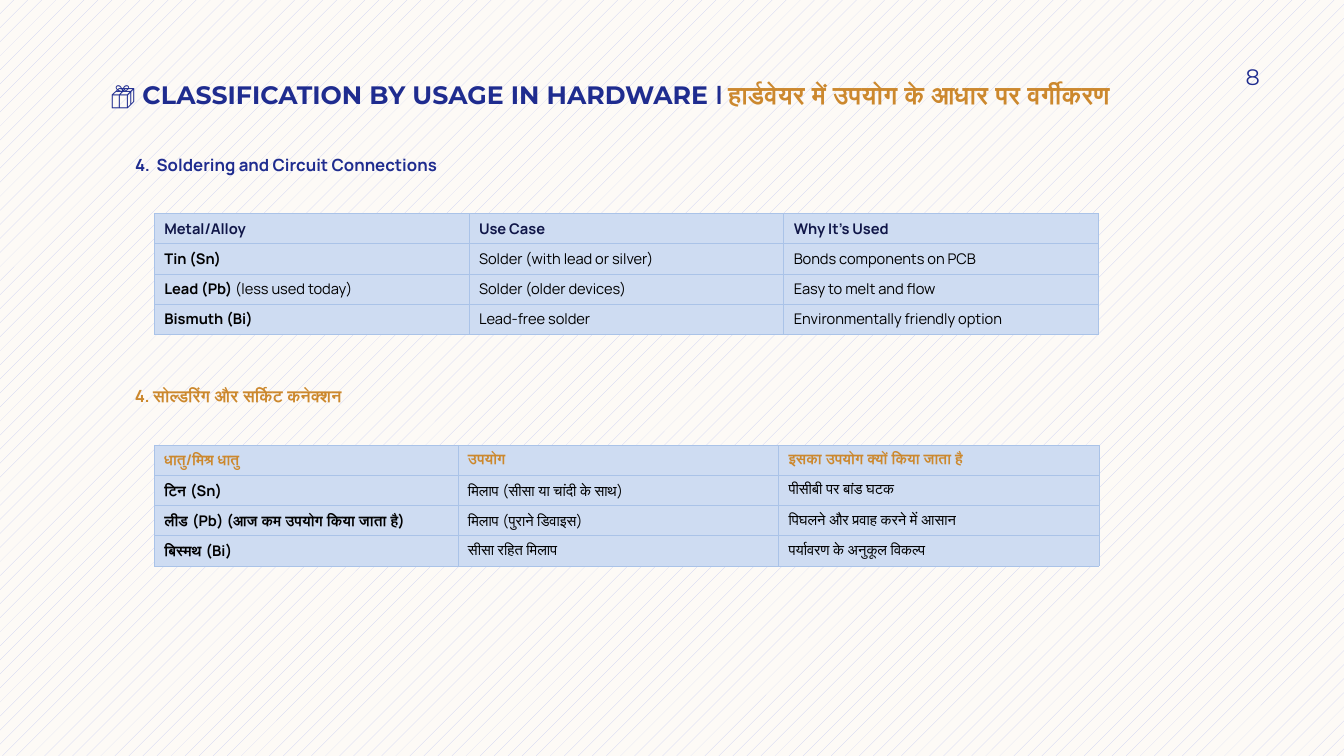
"""Build the slide on metals used in soldering, in English and Hindi."""
import pptx
import pptx.dml.color
import pptx.enum.dml
import pptx.enum.text
import pptx.oxml
import pptx.oxml.ns
import pptx.util

Cm, Pt = pptx.util.Cm, pptx.util.Pt
ANCHOR, ALIGN = pptx.enum.text.MSO_ANCHOR, pptx.enum.text.PP_ALIGN

HUES = {"blue": "1F2C8F", "gold": "CC882D", "navy": "101648", "ink": "000000",
        "cell": "CEDCF2", "edge": "AAC3E8", "paper": "FDFAF6", "dots": "C8CDF3"}

TITLE = [("📦 CLASSIFICATION BY USAGE IN HARDWARE ", "Montserrat", "blue"),
         ("| ", "Manrope", "blue"),
         ("हार्डवेयर में उपयोग के आधार पर वर्गीकरण", "Manrope", "gold")]
PAGE = "8"

PARTS = [
    {"head": "4.  Soldering and Circuit Connections", "hue": "blue", "top": 3.89,
     "label": "navy", "cols": [7.93, 7.93, 7.93],
     "rows": [
         ["Metal/Alloy", "Use Case", "Why It’s Used"],
         ["Tin (Sn)", "Solder (with lead or silver)", "Bonds components on PCB"],
         [("Lead (Pb)", " (less used today)"), "Solder (older devices)",
          "Easy to melt and flow"],
         ["Bismuth (Bi)", "Lead-free solder", "Environmentally friendly option"]]},
    {"head": "4. सोल्डरिंग और सर्किट कनेक्शन", "hue": "gold", "top": 9.73,
     "label": "gold", "cols": [7.65, 8.08, 8.08],
     "rows": [
         ["धातु/मिश्र धातु", "उपयोग", "इसका उपयोग क्यों किया जाता है"],
         ["टिन (Sn)", "मिलाप (सीसा या चांदी के साथ)", "पीसीबी पर बांड घटक"],
         ["लीड (Pb) (आज कम उपयोग किया जाता है)", "मिलाप (पुराने डिवाइस)",
          "पिघलने और प्रवाह करने में आसान"],
         ["बिस्मथ (Bi)", "सीसा रहित मिलाप", "पर्यावरण के अनुकूल विकल्प"]]},
]
TABLE_LEFT, ROW_TALL, HEAD_STEP = 3.89, 0.76, 5.84


def tint(name):
    return pptx.dml.color.RGBColor.from_string(HUES[name])


def style(run, size, hue, bold=False, face="Manrope"):
    run.font.size, run.font.name, run.font.bold = Pt(size), face, bold
    run.font.color.rgb = tint(hue)


def place(shape, left, top, width, height, anchor, pad=0):
    shape.left, shape.top, shape.width, shape.height = map(Cm, (left, top, width, height))
    frame = shape.text_frame
    frame.word_wrap = True
    frame.auto_size = pptx.enum.text.MSO_AUTO_SIZE.NONE
    frame.vertical_anchor = anchor
    frame.margin_top = frame.margin_bottom = Cm(pad)
    return frame.paragraphs[0]


def edge(cell):
    props = cell._tc.get_or_add_tcPr()
    for spot, side in enumerate("LRTB"):
        props.insert(spot, pptx.oxml.parse_xml(
            f'<a:ln{side} {pptx.oxml.ns.nsdecls("a")} w="{Pt(0.5)}"><a:solidFill>'
            f'<a:srgbClr val="{HUES["edge"]}"/></a:solidFill></a:ln{side}>'))


def add_head(shape, part, top):
    para = place(shape, 3.15, top, 22.12, 0.79, ANCHOR.TOP)
    para.text = part["head"]
    para.space_before, para.line_spacing = Pt(10), 1.0
    props = para._p.get_or_add_pPr()
    props.set("marL", "0")
    props.set("indent", "0")
    props.append(pptx.oxml.parse_xml(f'<a:buNone {pptx.oxml.ns.nsdecls("a")}/>'))
    style(para.runs[0], 12, part["hue"], True)


def add_grid(slide, part):
    rows, cols = part["rows"], part["cols"]
    grid = slide.shapes.add_table(
        len(rows), len(cols), Cm(TABLE_LEFT), Cm(part["top"] + 1.49),
        Cm(sum(cols)), Cm(ROW_TALL * len(rows))).table
    for col, width in zip(grid.columns, cols):
        col.width = Cm(width)
    for r, row in enumerate(rows):
        grid.rows[r].height = Cm(ROW_TALL)
        for c, text in enumerate(row):
            cell = grid.cell(r, c)
            cell.vertical_anchor = ANCHOR.MIDDLE
            cell.fill.solid()
            cell.fill.fore_color.rgb = tint("cell")
            edge(cell)
            para = cell.text_frame.paragraphs[0]
            for n, piece in enumerate([text] if isinstance(text, str) else text):
                run = para.add_run()
                run.text = piece
                style(run, 10.5, "ink" if r else part["label"],
                      r == 0 or (c == 0 and n == 0))


def main():
    deck = pptx.Presentation()
    deck.slide_width, deck.slide_height = Cm(33.87), Cm(19.05)
    slide = deck.slides.add_slide(deck.slide_layouts[1])
    fill = slide.background.fill
    fill.patterned()
    fill.pattern = pptx.enum.dml.MSO_PATTERN.PERCENT_5
    fill.fore_color.rgb, fill.back_color.rgb = tint("dots"), tint("paper")

    para = place(slide.shapes.title, 2.54, 0, 28.75, 2.77, ANCHOR.BOTTOM)
    para.alignment = ALIGN.LEFT
    for text, face, hue in TITLE:
        run = para.add_run()
        run.text = text
        style(run, 18, hue, True, face)

    page = slide.shapes.add_textbox(0, 0, 0, 0)
    para = place(page, 28.78, 1.27, 2.97, 1.32, ANCHOR.MIDDLE, 0.13)
    page.text_frame.margin_right = 0
    para.text, para.alignment = PAGE, ALIGN.RIGHT
    style(para.runs[0], 16, "blue", face="Montserrat")

    heads = [slide.placeholders[1], slide.shapes.add_textbox(0, 0, 0, 0)]
    for n, (shape, part) in enumerate(zip(heads, PARTS)):
        add_head(shape, part, part["top"])
        add_grid(slide, part)
    deck.save("out.pptx")


if __name__ == "__main__":
    main()
